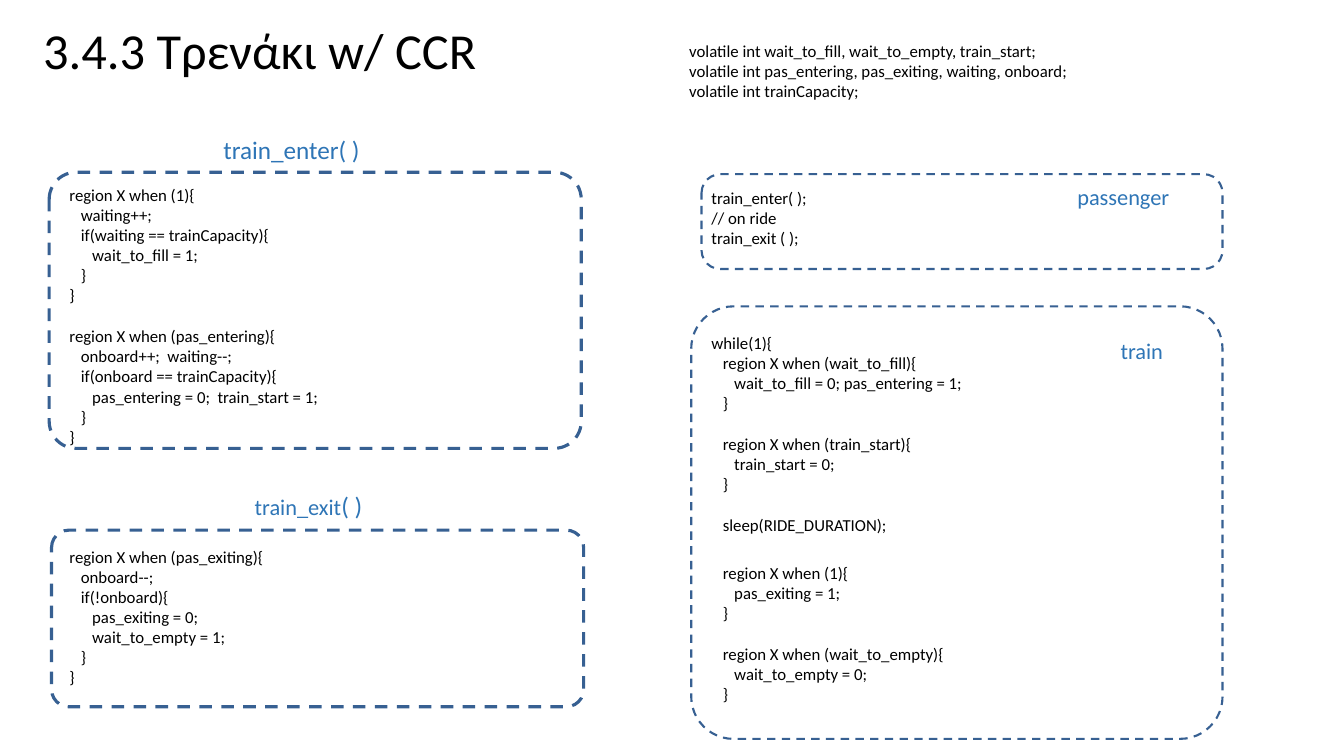
from pptx import Presentation
from pptx.dml.color import RGBColor
from pptx.enum.dml import MSO_LINE
from pptx.enum.shapes import MSO_SHAPE
from pptx.enum.text import MSO_ANCHOR
from pptx.util import Cm, Pt

DASH = MSO_LINE.DASH
ROUNDED = MSO_SHAPE.ROUNDED_RECTANGLE
MIDDLE = MSO_ANCHOR.MIDDLE

BLACK = RGBColor(0x00, 0x00, 0x00)
LABEL_BLUE = RGBColor(0x2E, 0x75, 0xB6)
FRAME_BLUE = RGBColor(0x37, 0x60, 0x92)
FONT = "Calibri"
CODE_SIZE = 12
INDENT = Cm(0.287)  # per open brace
GAP, WIDE_GAP = 14.65, 19.5  # points between code groups

# Places are left, top, width, height in cm.
TITLE = ("3.4.3 Τρενάκι w/ CCR", 36, (0.84, 0.33, 29.21, 2.01))

# Code is a list of (gap before, lines); the indent follows from the braces.
DECLARATIONS = [(0, [
    "volatile int wait_to_fill, wait_to_empty, train_start;",
    "volatile int pas_entering, pas_exiting, waiting, onboard;",
    "volatile int trainCapacity;",
])]
DECLARATIONS_PLACE = (17.12, 0.89, 14.99, 2.39)

PANELS = [
    {
        "label": [("train_enter( )", 18)],
        "label_place": (5.38, 3.25, 9.32, 1.02),
        "frame_place": (1.24, 4.34, 13.41, 6.96),
        "corner": 0.098,
        "weight": 2.25,
        "code_place": (1.5, 4.52, 13.21, 6.81),
        "code": [
            (0, ["region X when (1){", "waiting++;",
                 "if(waiting == trainCapacity){", "wait_to_fill = 1;", "}", "}"]),
            (GAP, ["region X when (pas_entering){", "onboard++;  waiting--;",
                   "if(onboard == trainCapacity){",
                   "pas_entering = 0;  train_start = 1;", "}", "}"]),
        ],
    },
    {
        "label": [("train_exit", 16), ("( )", 18)],
        "label_place": (6.17, 12.22, 3.68, 1.02),
        "frame_place": (1.3, 13.36, 13.41, 4.45),
        "corner": 0.098,
        "weight": 2.25,
        "code_place": (1.5, 13.64, 13.21, 4.45),
        "code": [
            (0, ["region X when (pas_exiting){", "onboard--;", "if(!onboard){",
                 "pas_exiting = 0;", "wait_to_empty = 1;", "}", "}"]),
        ],
    },
    {
        "label": [("train", 16)],
        "label_place": (27.99, 8.36, 2.64, 1.02),
        "frame_place": (17.42, 7.72, 13.39, 10.9),
        "corner": 0.098,
        "weight": 1.5,
        "code_place": (17.68, 8.26, 13.89, 10.9),
        "code": [
            (0, ["while(1){", "region X when (wait_to_fill){",
                 "wait_to_fill = 0; pas_entering = 1;", "}"]),
            (GAP, ["region X when (train_start){", "train_start = 0;", "}"]),
            (GAP, ["sleep(RIDE_DURATION);"]),
            (WIDE_GAP, ["region X when (1){", "pas_exiting = 1;", "}"]),
            (GAP, ["region X when (wait_to_empty){", "wait_to_empty = 0;", "}"]),
        ],
    },
    {
        "label": [("passenger", 16)],
        "label_place": (26.9, 4.5, 3.78, 1.02),
        "frame_place": (17.68, 4.39, 13.13, 2.39),
        "corner": 0.198,
        "weight": 1.5,
        "code_place": (17.68, 4.6, 4.34, 2.03),
        "code": [(0, ["train_enter( );", "// on ride", "train_exit ( );"])],
    },
]


def add_text_frame(slide, place):
    frame = slide.shapes.add_textbox(*map(Cm, place)).text_frame
    frame.word_wrap = True
    return frame


def add_run(paragraph, text, size, color):
    run = paragraph.add_run()
    run.text = text
    for name, value in {"name": FONT, "size": Pt(size)}.items():
        setattr(run.font, name, value)
    run.font.color.rgb = color


def add_code(slide, groups, place):
    frame = add_text_frame(slide, place)
    paragraph = frame.paragraphs[0]
    depth = 0
    for gap, lines in groups:
        for number, line in enumerate(lines):
            if paragraph is None:
                paragraph = frame.add_paragraph()
            if line == "}":
                depth -= 1
            if number == 0 and gap:
                paragraph.space_before = Pt(gap)
            if depth:
                properties = paragraph._p.get_or_add_pPr()
                properties.set("marL", str(depth * INDENT))
                properties.set("indent", "0")
            add_run(paragraph, line, CODE_SIZE, BLACK)
            if line.endswith("{"):
                depth += 1
            paragraph = None


def add_panel(slide, panel):
    add_code(slide, panel["code"], panel["code_place"])

    outline = slide.shapes.add_shape(ROUNDED, *map(Cm, panel["frame_place"]))
    outline.adjustments[0] = panel["corner"]
    outline.shadow.inherit = False
    outline.fill.background()
    outline.line.color.rgb = FRAME_BLUE
    for name, value in {"width": Pt(panel["weight"]), "dash_style": DASH}.items():
        setattr(outline.line, name, value)

    label = add_text_frame(slide, panel["label_place"]).paragraphs[0]
    for text, size in panel["label"]:
        add_run(label, text, size, LABEL_BLUE)


def main():
    deck = Presentation()
    deck.slide_width, deck.slide_height = Cm(33.87), Cm(19.05)
    slide = deck.slides.add_slide(deck.slide_layouts[6])

    title, title_size, title_place = TITLE
    title_frame = add_text_frame(slide, title_place)
    title_frame.vertical_anchor = MIDDLE
    title_frame.paragraphs[0].line_spacing = 0.9
    add_run(title_frame.paragraphs[0], title, title_size, BLACK)

    for panel in PANELS:
        add_panel(slide, panel)
    add_code(slide, DECLARATIONS, DECLARATIONS_PLACE)
    deck.save("out.pptx")


if __name__ == "__main__":
    main()
